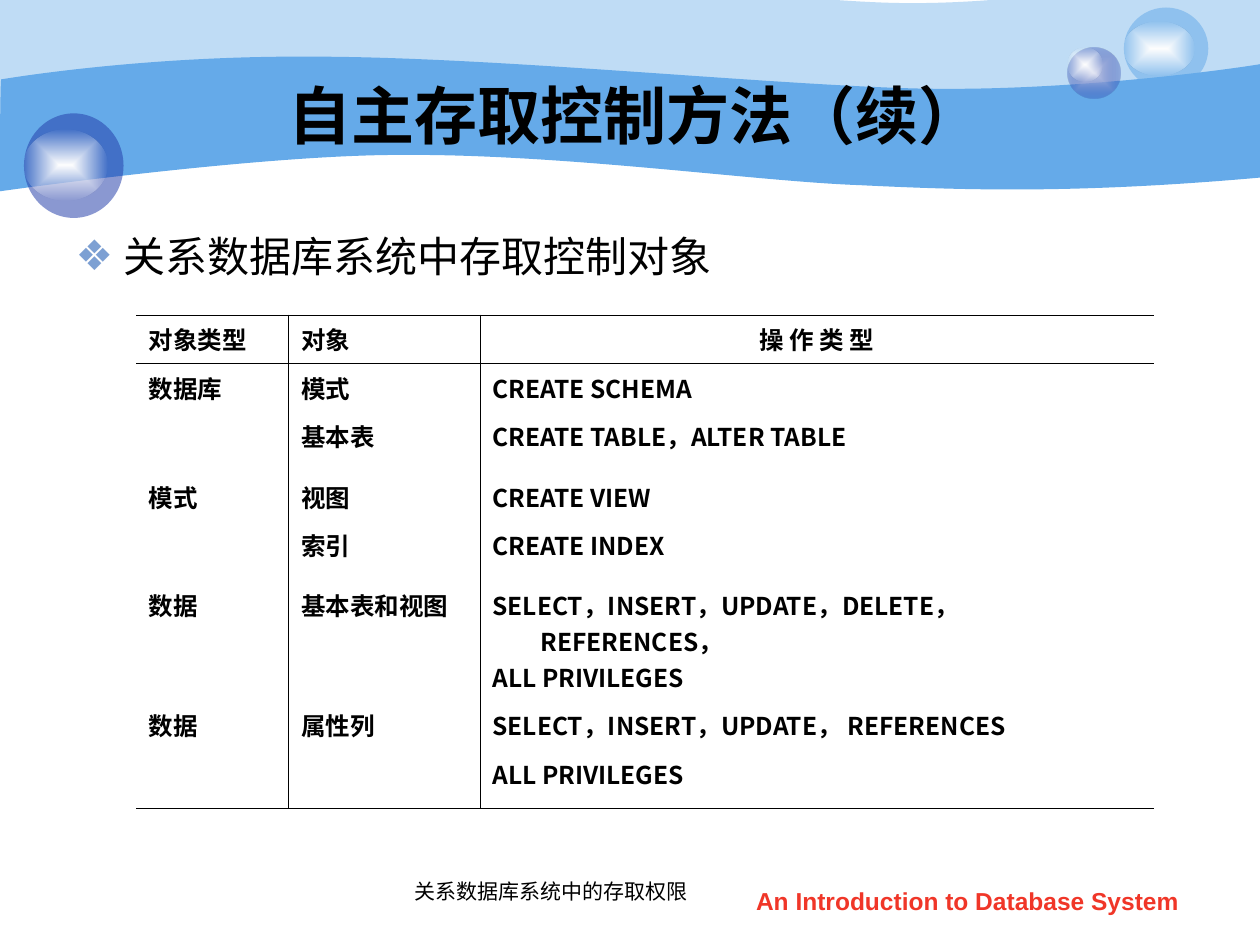
from lxml import etree
from pptx import Presentation
from pptx.dml.color import RGBColor
from pptx.enum.shapes import MSO_SHAPE
from pptx.enum.text import MSO_ANCHOR, MSO_AUTO_SIZE, PP_ALIGN
from pptx.oxml.ns import qn
from pptx.util import Inches, Pt

OVAL = MSO_SHAPE.OVAL
TOP, MIDDLE, BOTTOM = MSO_ANCHOR.TOP, MSO_ANCHOR.MIDDLE, MSO_ANCHOR.BOTTOM
LEFT, CENTER = PP_ALIGN.LEFT, PP_ALIGN.CENTER
NO_AUTOFIT = MSO_AUTO_SIZE.NONE

BLACK = RGBColor(0x00, 0x00, 0x00)
WHITE = RGBColor(0xFF, 0xFF, 0xFF)
SKY = RGBColor(0x65, 0xAA, 0xE9)
NAVY = RGBColor(0x23, 0x3D, 0xA9)
LAVENDER = RGBColor(0xC6, 0xCC, 0xE8)
BULLET_BLUE = RGBColor(0x7D, 0xA0, 0xD3)
RED = RGBColor(0xF0, 0x36, 0x28)

CJK_FONT = "Noto Sans CJK SC"
NO_GRID_STYLE = "{2D5ABB26-0587-4C30-8999-92F81FD0307C}"
HANGING = Inches(0.38)

# Each wave is a start point, then cubic curves (three points) and lines (one point).
LIGHT_WAVE = [
    [(0, -0.23)],
    [(0.24, -0.26), (1.07, -0.35), (2.47, -0.34)],
    [(3.86, -0.34), (5.75, -0.03), (6.99, 0.02)],
    [(8.22, 0.07), (9.8, -0.27), (10, -0.42)],
    [(10, 0.92)],
    [(8.58, 1.1), (7.87, 1.04), (7.05, 1.02)],
    [(6.22, 1), (5.15, 0.78), (3.43, 0.75)],
    [(1.72, 0.71), (0.04, 1.26), (0.01, 1.3)],
    [(-0.01, 1.35), (0, 0.02), (0, -0.23)],
]
DARK_WAVE = [
    [(0.01, 0.63)],
    [(0.02, 0.63), (1.1, 0.44), (2.48, 0.45)],
    [(3.86, 0.45), (5.95, 0.66), (7.18, 0.7)],
    [(8.41, 0.74), (9.76, 0.55), (10, 0.51)],
    [(10, 1.41)],
    [(8.53, 1.54), (7.65, 1.51), (6.82, 1.47)],
    [(5.99, 1.44), (4.47, 1.22), (3.17, 1.23)],
    [(2.03, 1.23), (-0.02, 1.52), (-0.01, 1.52)],
    [(0, 1.52), (0, 0.63), (0.01, 0.63)],
]

COLUMN_WIDTHS = [1.21, 1.52, 5.35]
ROW_HEIGHTS = [0.38, 0.38, 0.48, 0.38, 0.48, 0.8, 0.38, 0.47]
PERMISSIONS = [
    ["对象类型", "对象", "操 作 类 型"],
    ["数据库", "模式", "CREATE SCHEMA"],
    ["", "基本表", "CREATE TABLE，ALTER TABLE"],
    ["模式", "视图", "CREATE VIEW"],
    ["", "索引", "CREATE INDEX"],
    ["数据", "基本表和视图",
     "SELECT，INSERT，UPDATE，DELETE，REFERENCES，\nALL PRIVILEGES"],
    ["数据", "属性列", "SELECT，INSERT，UPDATE， REFERENCES"],
    ["", "", "ALL PRIVILEGES"],
]


def set_alpha(fill_element, percent):
    color = next(fill_element.iter(qn("a:srgbClr")))
    etree.SubElement(color, qn("a:alpha"), val=str(percent * 1000))


class SlideBuilder:
    def __init__(self, slide):
        self.slide = slide
        self.shapes = slide.shapes

    def finish_shape(self, shape, color, alpha):
        shape.shadow.inherit = False
        shape.line.fill.background()
        shape.fill.solid()
        shape.fill.fore_color.rgb = color
        set_alpha(shape._element.spPr.find(qn("a:solidFill")), alpha)

    def wave(self, segments, color, alpha=100):
        """Build an outline through the end points, then bend its curved segments."""
        anchors = [tuple(map(Inches, segment[-1])) for segment in segments]
        builder = self.shapes.build_freeform(*anchors[0], scale=1.0)
        builder.add_line_segments(anchors[1:], close=True)
        shape = builder.convert_to_shape()
        lines = list(shape._element.spPr.iter(qn("a:lnTo")))
        for line, segment in zip(lines, segments[1:]):
            if len(segment) == 1:
                continue
            curve = etree.Element(qn("a:cubicBezTo"))
            for x, y in segment:
                etree.SubElement(curve, qn("a:pt"), x=str(Inches(x) - shape.left),
                                 y=str(Inches(y) - shape.top))
            line.getparent().replace(line, curve)
        self.finish_shape(shape, color, alpha)

    def oval(self, box, color, alpha=100):
        shape = self.shapes.add_shape(OVAL, *map(Inches, box))
        self.finish_shape(shape, color, alpha)
        return shape

    def glow(self, box, inner, outer, outer_alpha):
        """Add an oval that shades from its centre to its edge."""
        shape = self.oval(box, inner)
        shape.fill.gradient()
        gradient = shape._element.spPr.find(qn("a:gradFill"))
        for stop, position, color in zip(shape.fill.gradient_stops, (0, 1), (inner, outer)):
            stop.position = position
            stop.color.rgb = color
        set_alpha(gradient.findall(".//" + qn("a:gs"))[1], outer_alpha)
        linear = gradient.find(qn("a:lin"))
        shade = etree.Element(qn("a:path"), path="rect")
        etree.SubElement(shade, qn("a:fillToRect"), l="50000", t="50000", r="50000", b="50000")
        gradient.replace(linear, shade)

    def format_paragraph(self, paragraph, size, font="Arial", color=BLACK, bold=False,
                         alignment=LEFT):
        paragraph.alignment = alignment
        for run in paragraph.runs:
            values = {"size": Pt(size), "name": font, "bold": bold}
            for name, value in values.items():
                setattr(run.font, name, value)
            run.font.color.rgb = color
            latin = run.font._element.find(qn("a:latin"))
            latin.addnext(etree.Element(qn("a:ea"), typeface=CJK_FONT))

    def hang(self, paragraph):
        properties = paragraph._p.get_or_add_pPr()
        properties.set("marL", str(HANGING))
        properties.set("indent", str(-HANGING))
        return properties

    def fill_text(self, shape, box, text, anchor=TOP, wrap=True, **style):
        shape.left, shape.top, shape.width, shape.height = map(Inches, box)
        frame = shape.text_frame
        values = {"text": text, "word_wrap": wrap, "auto_size": NO_AUTOFIT,
                  "vertical_anchor": anchor}
        for name, value in values.items():
            setattr(frame, name, value)
        paragraph = frame.paragraphs[0]
        paragraph.space_before = Pt(0)
        self.format_paragraph(paragraph, **style)
        return paragraph

    def placeholder(self, index, box, text, **style):
        """Fill a placeholder and bring it to the front."""
        shape = self.slide.placeholders[index]
        shape._element.getparent().append(shape._element)
        return self.fill_text(shape, box, text, **style)

    def bullet(self, paragraph, character, color):
        properties = self.hang(paragraph)
        bullet_color = etree.SubElement(properties, qn("a:buClr"))
        etree.SubElement(bullet_color, qn("a:srgbClr"), val=str(color))
        etree.SubElement(properties, qn("a:buChar"), char=character)

    def text(self, box, text, **style):
        self.fill_text(self.shapes.add_textbox(*map(Inches, box)), box, text, **style)

    def borders(self, cell, sides):
        properties = cell._tc.get_or_add_tcPr()
        for side, shown in sides.items():
            line = etree.SubElement(properties, qn("a:ln" + side), w=str(Pt(0.45)))
            if shown:
                fill = etree.SubElement(line, qn("a:solidFill"))
                etree.SubElement(fill, qn("a:srgbClr"), val=str(BLACK))
            else:
                etree.SubElement(line, qn("a:noFill"))

    def table(self, box, rows):
        table = self.shapes.add_table(len(rows), len(rows[0]), *map(Inches, box)).table
        table.first_row = table.horz_banding = False
        table._tbl.tblPr.find(qn("a:tableStyleId")).text = NO_GRID_STYLE
        for column, width in zip(table.columns, COLUMN_WIDTHS):
            column.width = Inches(width)
        last_row, last_column = len(rows) - 1, len(rows[0]) - 1
        for row_index, row in enumerate(rows):
            table.rows[row_index].height = Inches(ROW_HEIGHTS[row_index])
            for column_index, text in enumerate(row):
                cell = table.cell(row_index, column_index)
                self.borders(cell, {
                    "L": column_index > 0, "R": column_index < last_column,
                    "T": row_index < 2, "B": row_index in (0, last_row)})
                cell.fill.background()
                cell.text = text
                centered = row_index == 0 and column_index == last_column
                for paragraph in cell.text_frame.paragraphs:
                    self.hang(paragraph)
                    self.format_paragraph(paragraph, 14, CJK_FONT, bold=True,
                                          alignment=CENTER if centered else LEFT)


def main():
    presentation = Presentation()
    presentation.slide_width, presentation.slide_height = Inches(10), Inches(7.5)
    builder = SlideBuilder(presentation.slides.add_slide(presentation.slide_layouts[1]))

    builder.wave(LIGHT_WAVE, SKY, 41)
    builder.wave(DARK_WAVE, SKY)
    builder.glow((8.47, 0.38, 0.42, 0.4), LAVENDER, NAVY, 31)
    builder.glow((8.47, 0.38, 0.28, 0.27), WHITE, WHITE, 0)
    builder.oval((8.92, 0.06, 0.67, 0.65), SKY, 53)
    builder.glow((8.92, 0.17, 0.56, 0.43), WHITE, WHITE, 0)
    builder.oval((0.19, 0.9, 0.79, 0.83), NAVY, 53)
    builder.glow((0.19, 1.03, 0.66, 0.56), WHITE, WHITE, 0)

    builder.placeholder(0, (1, 0.6, 8.08, 0.62), "自主存取控制方法（续）",
                        anchor=MIDDLE, size=36, bold=True, alignment=CENTER)
    topic = builder.placeholder(1, (0.5, 1.78, 8.99, 0.55), "关系数据库系统中存取控制对象",
                                size=24, font=CJK_FONT)
    builder.bullet(topic, "❖", BULLET_BLUE)
    builder.table((1.08, 2.5, 8.08, 3.75), PERMISSIONS)
    builder.text((3.19, 6.82, 2.42, 0.4), "关系数据库系统中的存取权限",
                 anchor=BOTTOM, wrap=False, size=12, font="Times New Roman")
    builder.text((5.71, 6.98, 3.94, 0.35), "An Introduction to Database System",
                 size=14, color=RED, bold=True, alignment=CENTER)
    presentation.save("out.pptx")


if __name__ == "__main__":
    main()
